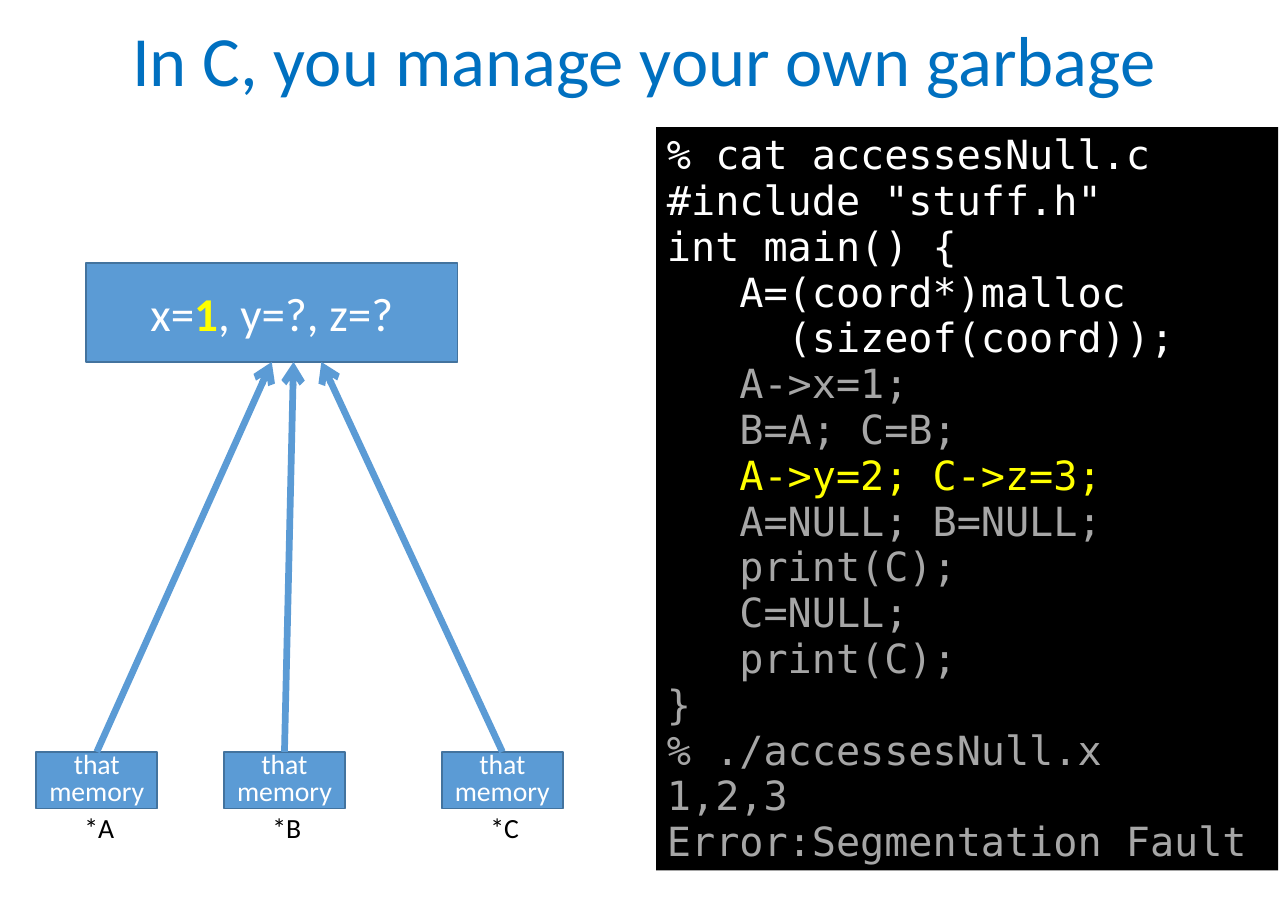
from dataclasses import dataclass

from lxml import etree
from pptx import Presentation
from pptx.dml.color import RGBColor
from pptx.enum.shapes import MSO_CONNECTOR, MSO_SHAPE
from pptx.enum.text import MSO_ANCHOR, PP_ALIGN
from pptx.oxml.ns import qn
from pptx.util import Inches, Pt

RECT = MSO_SHAPE.RECTANGLE
LINE = MSO_CONNECTOR.STRAIGHT
TOP, MIDDLE = MSO_ANCHOR.TOP, MSO_ANCHOR.MIDDLE
LEFT, CENTER = PP_ALIGN.LEFT, PP_ALIGN.CENTER
TOP_SITE, BOTTOM_SITE = 0, 2


@dataclass(frozen=True)
class Theme:
    sans: str = "Calibri"
    mono: str = "DejaVu Sans Mono"
    title: str = "0070C0"
    fill: str = "5B9BD5"
    edge: str = "43739E"
    white: str = "FFFFFF"
    black: str = "000000"
    dim: str = "A6A6A6"
    mark: str = "FFFF00"
    title_size: float = 42
    value_size: float = 28
    code_size: float = 23.9
    label_size: float = 16.5


THEME = Theme()

# Code lines, grouped by colour
CODE = [
    (THEME.white, ["% cat accessesNull.c", '#include "stuff.h"', "int main() {",
                   "   A=(coord*)malloc\v     (sizeof(coord));"]),
    (THEME.dim, ["   A->x=1;", "   B=A; C=B;"]),
    (THEME.mark, ["   A->y=2; C->z=3;"]),
    (THEME.dim, ["   A=NULL; B=NULL;", "   print(C);", "   C=NULL;",
                 "   print(C);", "}", "% ./accessesNull.x", "1,2,3",
                 "Error:Segmentation Fault"]),
]

# Pointer name, left edge, arrow tip's shift from the block's middle
POINTERS = [("*A", 0.3, 0), ("*B", 1.85, 0.18), ("*C", 3.65, 0.41)]


def style(run, size, color, font=THEME.sans, bold=False):
    run.font.name = font
    run.font.size = Pt(size)
    run.font.bold = bold
    run.font.color.rgb = RGBColor.from_string(color)


def set_frame(shape, anchor=MIDDLE):
    frame = shape.text_frame
    frame.word_wrap = True
    frame.vertical_anchor = anchor
    frame.margin_left = frame.margin_right = Inches(0.09)
    frame.margin_top = frame.margin_bottom = Inches(0.05)
    return frame


def add_label(shape, text, size, color, space=1.0):
    para = set_frame(shape).paragraphs[0]
    para.text = text
    para.alignment = CENTER
    para.line_spacing = space
    for run in para.runs:
        style(run, size, color)


def add_rect(slide, box, fill, edge=None):
    rect = slide.shapes.add_shape(RECT, *map(Inches, box))
    rect.shadow.inherit = False
    rect.fill.solid()
    rect.fill.fore_color.rgb = RGBColor.from_string(fill)
    if edge:
        rect.line.color.rgb = RGBColor.from_string(edge)
        rect.line.width = Pt(1)
    else:
        rect.line.fill.background()
    return rect


def add_title(slide, box):
    title = slide.shapes.add_textbox(*map(Inches, box))
    add_label(title, "In C, you manage your own garbage",
              THEME.title_size, THEME.title, 0.9)


def add_code(slide, box):
    frame = set_frame(add_rect(slide, box, THEME.black), TOP)
    lines = [(text, color) for color, group in CODE for text in group]
    for i, (text, color) in enumerate(lines):
        para = frame.add_paragraph() if i else frame.paragraphs[0]
        para.text = text
        para.alignment = LEFT
        para.line_spacing = 0.95
        for run in para.runs:
            style(run, THEME.code_size, color, THEME.mono)


def add_block(slide, box):
    block = add_rect(slide, box, THEME.fill, THEME.edge)
    para = set_frame(block).paragraphs[0]
    para.alignment = CENTER
    for text, color in [("x=", THEME.white), ("1", THEME.mark),
                        (", y=?, z=?", THEME.white)]:
        run = para.add_run()
        run.text = text
        style(run, THEME.value_size, color, bold=color == THEME.mark)
    return block


def add_arrow(slide, cell, block, shift):
    tip = block.left + block.width // 2 + Inches(shift)
    arrow = slide.shapes.add_connector(
        LINE, cell.left + cell.width // 2, cell.top,
        tip, block.top + block.height)
    arrow.begin_connect(cell, TOP_SITE)
    if not shift:
        arrow.end_connect(block, BOTTOM_SITE)
    arrow.line.color.rgb = RGBColor.from_string(THEME.fill)
    arrow.line.width = Pt(4)
    # Open arrowhead, no shadow
    etree.SubElement(arrow.line._get_or_add_ln(), qn("a:tailEnd"), type="arrow")
    etree.SubElement(arrow._element.spPr, qn("a:effectLst"))


def add_memory(slide, box):
    left, top, width, height = box
    block = add_block(slide, (left + 0.41, top, 3.07, 0.82))
    wide, high = 1, 0.47
    base = top + height - 0.86
    for name, x, shift in POINTERS:
        cell = add_rect(slide, (x, base, wide, high), THEME.fill, THEME.edge)
        add_label(cell, "that\vmemory", THEME.label_size, THEME.white, 0.8)
        add_arrow(slide, cell, block, shift)
        note = slide.shapes.add_textbox(
            *map(Inches, (x + 0.02, base + 0.39, wide, high)))
        add_label(note, name, THEME.label_size, THEME.black)


def main():
    deck = Presentation()
    deck.slide_width, deck.slide_height = Inches(10.64), Inches(7.5)
    slide = deck.slides.add_slide(deck.slide_layouts[6])
    add_code(slide, (5.42, 1.05, 5.14, 6.14))
    add_title(slide, (0, 0, 10.64, 1.05))
    add_memory(slide, (0.3, 2.17, 4.35, 4.9))
    deck.save("out.pptx")


if __name__ == "__main__":
    main()
